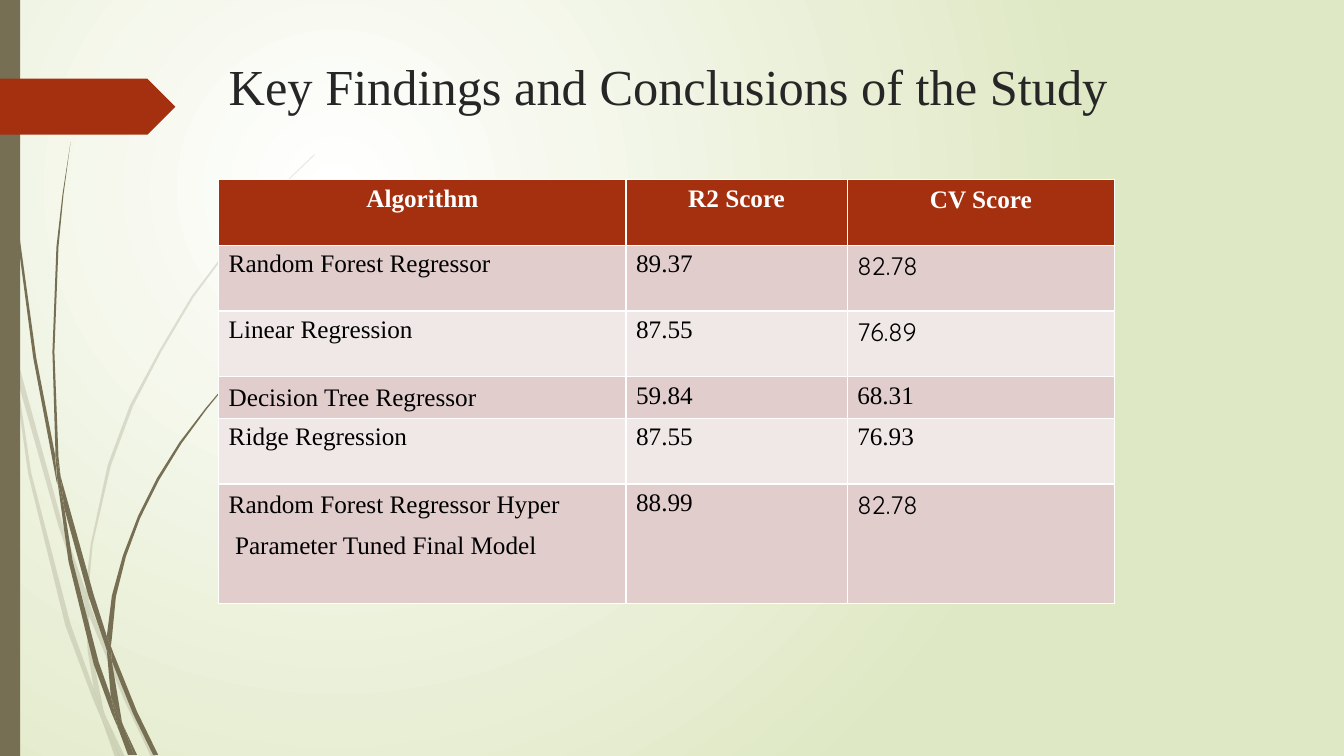
from dataclasses import dataclass

from lxml import etree
from pptx import Presentation
from pptx.dml.color import RGBColor
from pptx.enum.shapes import MSO_SHAPE
from pptx.enum.text import MSO_ANCHOR, MSO_AUTO_SIZE, PP_ALIGN
from pptx.oxml.ns import qn
from pptx.util import Pt

RECTANGLE, PENTAGON = MSO_SHAPE.RECTANGLE, MSO_SHAPE.PENTAGON
TOP, NO_AUTOFIT = MSO_ANCHOR.TOP, MSO_AUTO_SIZE.NONE
LEFT, CENTER = PP_ALIGN.LEFT, PP_ALIGN.CENTER


@dataclass(frozen=True)
class Theme:
    """Colours, fonts and type sizes of the slide."""
    paper: RGBColor = RGBColor.from_string("FFFFFF")
    edge: RGBColor = RGBColor.from_string("DFE8C4")
    stalk: RGBColor = RGBColor.from_string("766F54")
    accent: RGBColor = RGBColor.from_string("A53010")
    title: RGBColor = RGBColor.from_string("262626")
    ink: RGBColor = RGBColor.from_string("000000")
    odd_row: RGBColor = RGBColor.from_string("E1CDCC")
    even_row: RGBColor = RGBColor.from_string("F0E8E7")
    font: str = "Times New Roman"
    number_font: str = "Quicksand"
    title_size: int = 36
    table_size: int = 18
    faint_alpha: int = 20000


THEME = Theme()
GRASS_UNIT = Pt(0.72)

FAINT_GRASS = [
    (11, 350, 9, 322, 0, 282, 0, 299, 10, 344),
    (58, 522, 84, 599, 85, 586, 62, 520, 14, 345, 17, 376),
    (92, 607, 88, 596, 88, 610, 123, 694, 150, 751, 155, 751, 127, 692),
    (119, 751, 124, 751, 105, 711),
    (93, 683, 70, 619, 31, 469, 17, 376, 11, 350, 28, 470, 65, 621, 92, 693,
     101, 714, 99, 707),
    (84, 599, 87, 646, 93, 683, 96, 692, 105, 711, 103, 706, 91, 646, 88, 610,
     88, 608),
    (88, 584, 92, 540, 110, 462, 132, 403, 160, 349, 192, 295, 229, 245,
     268, 198, 290, 175, 312, 154, 312, 153, 289, 175, 268, 197, 228, 244,
     190, 294, 158, 348, 129, 402, 107, 461, 90, 540, 85, 584, 85, 586, 88, 596),
    (101, 714, 114, 751, 119, 751),
    (88, 608, 88, 610, 88, 596, 85, 586, 84, 599),
    (96, 692, 93, 683, 99, 707, 101, 714, 119, 751, 105, 711),
]

DARK_GRASS = [
    (7, 110, 17, 233, 33, 355, 56, 477, 57, 481, 55, 457, 55, 453, 36, 355,
     19, 232, 8, 109, 5, 48, 4, 0, 3, 0, 4, 48),
    (88, 592, 106, 645, 106, 633, 106, 631, 93, 590, 60, 472, 64, 505),
    (113, 649, 110, 641, 111, 656, 132, 708, 152, 749, 157, 749, 136, 706),
    (110, 691, 98, 657, 72, 556, 64, 505, 57, 477, 68, 557, 93, 659, 111, 708,
     117, 722, 116, 717),
    (60, 472, 58, 453, 54, 349, 58, 245, 63, 193, 70, 141, 62, 193, 56, 245,
     52, 349, 55, 449),
    (133, 749, 136, 749, 122, 719),
    (57, 477, 64, 505, 60, 472, 55, 449, 55, 453),
    (111, 633, 115, 592, 125, 552, 139, 514, 158, 476, 180, 440, 205, 406,
     231, 374, 245, 359, 261, 344, 260, 344, 245, 358, 231, 373, 204, 405,
     178, 439, 156, 474, 137, 512, 122, 551, 111, 591, 106, 631, 110, 641),
    (117, 722, 127, 749, 131, 749),
    (106, 645, 110, 691, 116, 706, 122, 719, 121, 716, 111, 656, 109, 651),
    (106, 645, 109, 651, 111, 656, 110, 641, 106, 631, 106, 633),
    (116, 706, 110, 691, 116, 717, 117, 722, 130, 749, 133, 749, 122, 719),
]

SCORES = [
    ("Algorithm", "R2 Score", "CV Score"),
    ("Random Forest Regressor", "89.37", "82.78"),
    ("Linear Regression", "87.55", "76.89"),
    ("Decision Tree Regressor", "59.84", "68.31"),
    ("Ridge Regression", "87.55", "76.93"),
    ("Random Forest Regressor Hyper\n Parameter Tuned Final Model", "88.99", "82.78"),
]
COLUMN_WIDTHS = (291, 158, 191)
ROW_HEIGHTS = (47, 47, 47, 29.5, 47, 85.5)
SPACED_CELLS = {(0, 2), (3, 0), (5, 0)}
NUMBER_FONT_CELLS = {(1, 2), (2, 2), (5, 2)}


def set_all(target, values):
    """Set each named attribute of the target."""
    for name, value in values.items():
        setattr(target, name, value)


def paint(shape, color):
    """Give a shape a plain fill without line or shadow."""
    shape.shadow.inherit = False
    shape.fill.solid()
    shape.fill.fore_color.rgb = color
    shape.line.fill.background()


def format_paragraph(paragraph, color, font_values, paragraph_values):
    """Format a paragraph and its runs."""
    set_all(paragraph, paragraph_values)
    for run in paragraph.runs:
        set_all(run.font, font_values)
        run.font.color.rgb = color


def draw_background(slide):
    """Fill the background with a radial glow around its upper left."""
    fill = slide.background.fill
    fill.gradient()
    for stop, color in zip(fill.gradient_stops, (THEME.paper, THEME.edge)):
        stop.color.rgb = color
    gradient = next(slide.element.iter(qn("a:gradFill")))
    gradient.remove(gradient.find(qn("a:lin")))
    glow = etree.SubElement(gradient, qn("a:path"), path="circle")
    etree.SubElement(glow, qn("a:fillToRect"), l="50000", t="50000", r="100000", b="100000")


def draw_grass(slide, left, top, blades, alpha=None):
    """Draw a group of grass blades from the given corner."""
    group = slide.shapes.add_group_shape()
    for blade in blades:
        points = list(zip(blade[::2], blade[1::2]))
        builder = group.shapes.build_freeform(*points[0], scale=GRASS_UNIT)
        builder.add_line_segments(points[1:], close=True)
        shape = builder.convert_to_shape(Pt(left), Pt(top))
        paint(shape, THEME.stalk)
        if alpha:
            color = next(shape.element.spPr.iter(qn("a:srgbClr")))
            etree.SubElement(color, qn("a:alpha"), val=str(alpha))


def draw_side(slide, left, top, height):
    """Draw the grass, the side bar and the marker at the left edge."""
    draw_grass(slide, left, top, FAINT_GRASS, THEME.faint_alpha)
    draw_grass(slide, left, top, DARK_GRASS)
    parts = [
        (RECTANGLE, top, 14.4, height, THEME.stalk),
        (PENTAGON, top + 56.2, 125.3, 40, THEME.accent),
    ]
    for kind, part_top, width, part_height, color in parts:
        shape = slide.shapes.add_shape(kind, Pt(left), Pt(part_top), Pt(width), Pt(part_height))
        paint(shape, color)


def draw_title(slide, left, top, width, height, text):
    """Place and format the title placeholder."""
    title = slide.shapes.title
    set_all(title, {"left": Pt(left), "top": Pt(top), "width": Pt(width), "height": Pt(height)})
    frame = title.text_frame
    frame.text = text
    set_all(frame, {"vertical_anchor": TOP, "auto_size": NO_AUTOFIT, "word_wrap": True})
    font_values = {"name": THEME.font, "size": Pt(THEME.title_size)}
    format_paragraph(frame.paragraphs[0], THEME.title, font_values, {"alignment": LEFT})


def draw_scores(slide, left, top):
    """Draw the table of scores from the given corner."""
    frame = slide.shapes.add_table(
        len(SCORES), len(COLUMN_WIDTHS), Pt(left), Pt(top),
        Pt(sum(COLUMN_WIDTHS)), Pt(sum(ROW_HEIGHTS)))
    table = frame.table
    for column, width in zip(table.columns, COLUMN_WIDTHS):
        column.width = Pt(width)
    for row_index, (row, height, texts) in enumerate(zip(table.rows, ROW_HEIGHTS, SCORES)):
        row.height = Pt(height)
        header = row_index == 0
        band = THEME.odd_row if row_index % 2 else THEME.even_row
        for column_index, (cell, text) in enumerate(zip(row.cells, texts)):
            position = (row_index, column_index)
            cell.text = text
            cell.fill.solid()
            cell.fill.fore_color.rgb = THEME.accent if header else band
            font_values = {
                "name": THEME.number_font if position in NUMBER_FONT_CELLS else THEME.font,
                "size": Pt(THEME.table_size),
                "bold": header,
            }
            paragraph_values = {"alignment": CENTER if header else LEFT}
            if position in SPACED_CELLS:
                paragraph_values.update(line_spacing=1.07, space_after=Pt(8))
            for paragraph in cell.text_frame.paragraphs:
                format_paragraph(paragraph, THEME.paper if header else THEME.ink,
                                 font_values, paragraph_values)


def main():
    """Build and save the presentation."""
    presentation = Presentation()
    set_all(presentation, {"slide_width": Pt(960), "slide_height": Pt(540)})
    slide = presentation.slides.add_slide(presentation.slide_layouts.get_by_name("Title Only"))
    draw_background(slide)
    draw_side(slide, 0, 0, 540)
    draw_title(slide, 156.2, 36, 702, 100.8, "Key Findings and Conclusions of the Study")
    draw_scores(slide, 156.2, 128.2)
    presentation.save("out.pptx")


if __name__ == "__main__":
    main()
